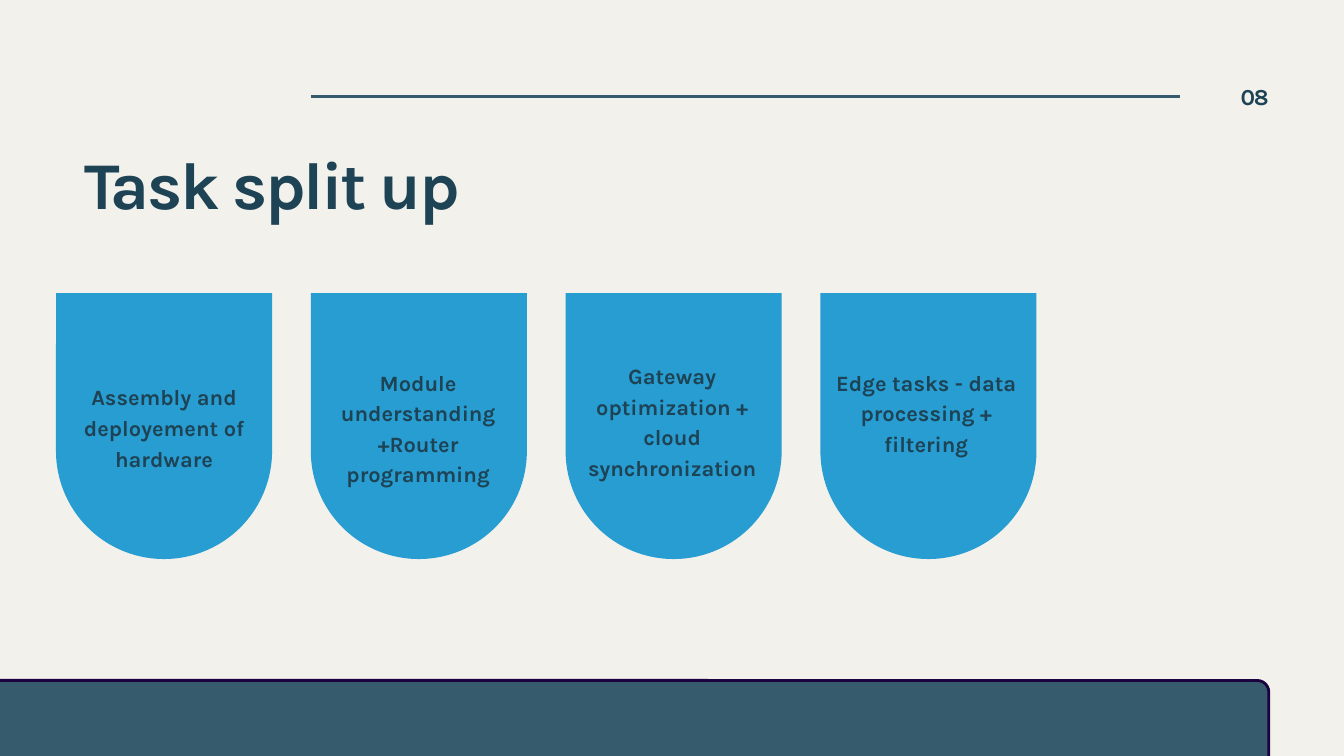
from dataclasses import dataclass

from lxml.etree import SubElement
from pptx import Presentation
from pptx.dml.color import RGBColor
from pptx.enum.shapes import MSO_CONNECTOR, MSO_SHAPE
from pptx.enum.text import PP_ALIGN
from pptx.oxml.ns import qn
from pptx.util import Pt


@dataclass(frozen=True)
class TextStyle:
    size: float
    leading: float
    align: PP_ALIGN
    tracking: float = 0


@dataclass(frozen=True)
class Theme:
    font: str = "Karla"
    paper: str = "F2F1EC"
    ink: str = "1D4355"
    slate: str = "365B6D"
    blue: str = "289DD2"
    edge: str = "1C0140"
    stroke: float = 3
    title: TextStyle = TextStyle(71.5, 85.1, PP_ALIGN.LEFT, -2.5)
    number: TextStyle = TextStyle(24.6, 23.6, PP_ALIGN.RIGHT, -1.2)
    task: TextStyle = TextStyle(23.4, 32.8, PP_ALIGN.CENTER)


class SlideBuilder:
    def __init__(self, slide, theme):
        self.slide = slide
        self.theme = theme

    def background(self):
        fill = self.slide.background.fill
        fill.solid()
        fill.fore_color.rgb = RGBColor.from_string(self.theme.paper)

    def rule(self, left, right, y):
        rule = self.slide.shapes.add_connector(
            MSO_CONNECTOR.STRAIGHT, Pt(left), Pt(y), Pt(right), Pt(y))
        rule.line.color.rgb = RGBColor.from_string(self.theme.slate)
        rule.line.width = Pt(self.theme.stroke)
        SubElement(rule._element.spPr, qn("a:effectLst"))

    def panel(self, preset, left, top, width, height, corners, fill, edge=None):
        panel = self.slide.shapes.add_shape(
            preset, Pt(left), Pt(top), Pt(width), Pt(height))
        for index, corner in enumerate(corners):
            panel.adjustments[index] = corner
        panel.shadow.inherit = False
        panel.fill.solid()
        panel.fill.fore_color.rgb = RGBColor.from_string(fill)
        if edge:
            panel.line.color.rgb = RGBColor.from_string(edge)
            panel.line.width = Pt(self.theme.stroke)
        else:
            panel.line.fill.background()

    def text(self, wording, left, top, width, height, style):
        frame = self.slide.shapes.add_textbox(
            Pt(left), Pt(top), Pt(width), Pt(height)).text_frame
        frame.word_wrap = True
        frame.margin_left = frame.margin_right = 0
        frame.margin_top = frame.margin_bottom = 0
        paragraph = frame.paragraphs[0]
        paragraph.alignment = style.align
        paragraph.line_spacing = Pt(style.leading)
        run = paragraph.add_run()
        run.text = wording
        run.font.name = self.theme.font
        run.font.size = Pt(style.size)
        run.font.bold = True
        run.font.color.rgb = RGBColor.from_string(self.theme.ink)
        if style.tracking:
            run.font._element.set("spc", str(round(style.tracking * 100)))


def main():
    deck = Presentation()
    deck.slide_width, deck.slide_height = Pt(1440), Pt(810)
    theme = Theme()
    page = SlideBuilder(deck.slides.add_slide(deck.slide_layouts[6]), theme)
    page.background()

    # Header rule and footer band, which runs off the left and bottom edges
    page.rule(333, 1264.5, 103)
    page.panel(MSO_SHAPE.ROUNDED_RECTANGLE, -78, 729, 1437.5, 148,
               [0.085], theme.slate, theme.edge)

    # Task badges: square on top, fully rounded below
    tasks = [
        ("Assembly and deployement of hardware", 406.8, 3),
        ("Module understanding +Router programming", 391, 4),
        ("Gateway optimization + cloud synchronization", 383.8, 4),
        ("Edge tasks - data processing + filtering", 391, 3),
    ]
    for index in range(len(tasks)):
        page.panel(MSO_SHAPE.ROUND_2_SAME_RECTANGLE, 60 + 273 * index, 314,
                   231.5, 285, [0, 0.5], theme.blue)

    # Page number and title
    page.text("08", 1292.4, 94.3, 67, 24.5, theme.number)
    page.text("Task split up", 90, 153.4, 541.4, 85.7, theme.title)

    # Task labels
    for index, (wording, top, lines) in enumerate(tasks):
        page.text(wording, 62 + 272.2 * index, top, 227.5,
                  lines * theme.task.leading, theme.task)

    deck.save("out.pptx")


if __name__ == "__main__":
    main()
